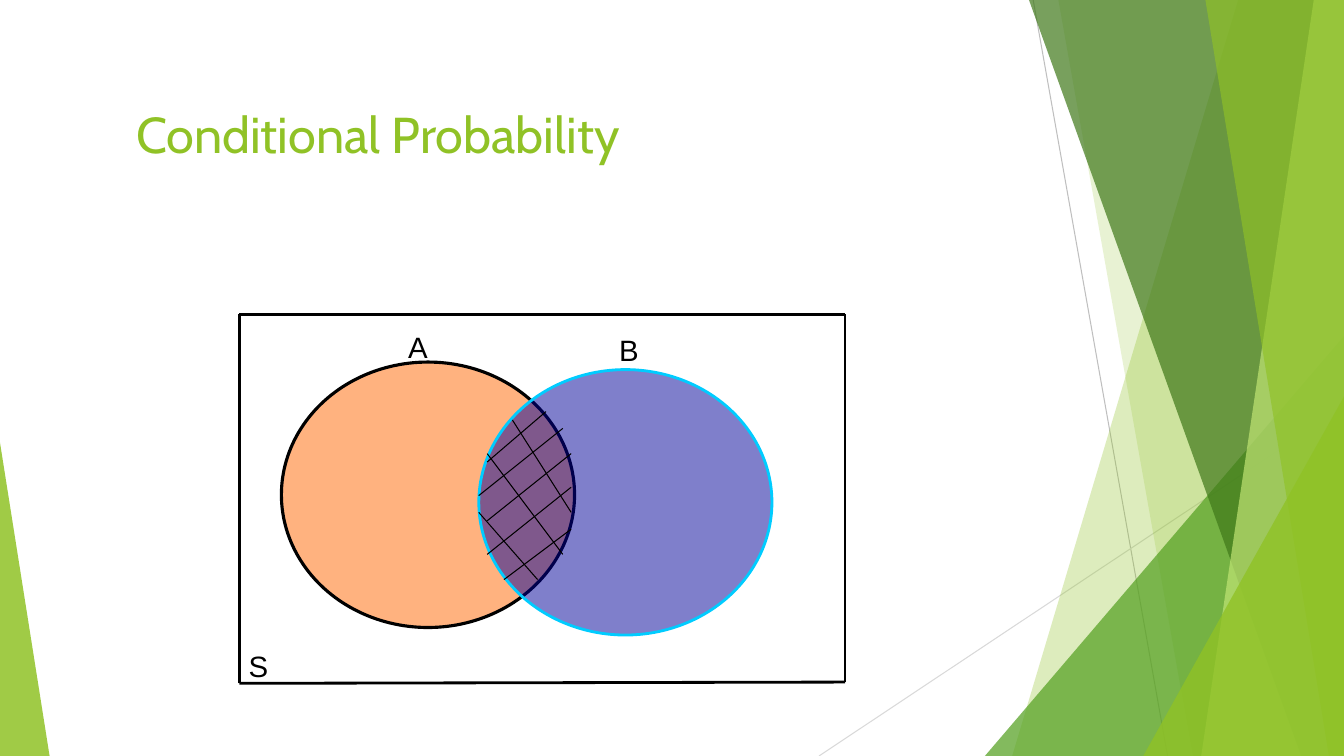
from pptx import Presentation
from pptx.dml.color import RGBColor
from pptx.enum.shapes import MSO_CONNECTOR, MSO_SHAPE
from pptx.enum.text import MSO_ANCHOR, PP_ALIGN
from pptx.oxml.ns import qn
from pptx.util import Inches, Pt
from lxml.etree import SubElement

LIME = RGBColor(0x90, 0xC2, 0x26)
PALE_LIME = RGBColor(0xC0, 0xE4, 0x74)
LEAF = RGBColor(0x54, 0xA0, 0x21)
FOREST = RGBColor(0x3F, 0x78, 0x19)
SILVER = RGBColor(0xBF, 0xBF, 0xBF)
MIST = RGBColor(0xD9, 0xD9, 0xD9)
ORANGE = RGBColor(0xFF, 0x66, 0x00)
NAVY = RGBColor(0x00, 0x00, 0x99)
CYAN = RGBColor(0x00, 0xCC, 0xFF)
BLACK = RGBColor(0x00, 0x00, 0x00)
COLUMNS, ROWS = 160, 90


class VennSlide:
    """Draws on one title-only slide, measured in columns and rows of a 160 by 90 grid."""

    def __init__(self, deck):
        self.column = deck.slide_width / COLUMNS
        self.row = deck.slide_height / ROWS
        self.slide = deck.slides.add_slide(deck.slide_layouts[5])
        self.shapes = self.slide.shapes

    def point(self, x, y):
        return round(x * self.column), round(y * self.row)

    def paint(self, shape, color, opacity, outline=None, weight=0):
        shape.shadow.inherit = False
        shape.fill.solid()
        shape.fill.fore_color.rgb = color
        tint = shape.fill._xPr.find(qn("a:solidFill"))[0]
        SubElement(tint, qn("a:alpha")).set("val", str(opacity * 1000))
        if outline is None:
            shape.line.fill.background()
        else:
            shape.line.color.rgb = outline
            shape.line.width = Pt(weight)

    def title(self, wording, x, y, width, height):
        heading = self.shapes.title
        heading.left, heading.top = self.point(x, y)
        heading.width, heading.height = self.point(width, height)
        frame = heading.text_frame
        frame.text = wording
        frame.vertical_anchor = MSO_ANCHOR.MIDDLE
        self.style(frame.paragraphs[0], "Cabin", 36, LIME)

    def style(self, paragraph, typeface, size, color):
        paragraph.alignment = PP_ALIGN.LEFT
        paragraph.font.name = typeface
        paragraph.font.size = Pt(size)
        paragraph.font.color.rgb = color

    def label(self, wording, x, y):
        caption = self.shapes.add_textbox(*self.point(x, y), *self.point(4.5, 4.8))
        frame = caption.text_frame
        frame.margin_left = frame.margin_top = frame.margin_right = frame.margin_bottom = 0
        frame.word_wrap = False
        frame.text = wording
        self.style(frame.paragraphs[0], "Arial", 21, BLACK)

    def line(self, start, end, color=BLACK, weight=0.75):
        stroke = self.shapes.add_connector(
            MSO_CONNECTOR.STRAIGHT, *self.point(*start), *self.point(*end))
        SubElement(stroke._element.spPr, qn("a:effectLst"))
        stroke.line.color.rgb = color
        stroke.line.width = Pt(weight)

    def ribbon(self, top, bottom, color, opacity):
        corners = [self.point(*corner) for corner in
                   ((top, 0), (COLUMNS, 0), (COLUMNS, ROWS), (bottom, ROWS))]
        outline = self.shapes.build_freeform(*corners[0])
        outline.add_line_segments(corners[1:], close=True)
        self.paint(outline.convert_to_shape(), color, opacity)

    def wedge(self, x, y, width, apex, color, opacity):
        corner = self.shapes.add_shape(
            MSO_SHAPE.ISOSCELES_TRIANGLE, *self.point(x, y), *self.point(width, ROWS - y))
        corner.adjustments[0] = apex
        self.paint(corner, color, opacity)

    def event(self, x, y, color, outline, weight):
        oval = self.shapes.add_shape(
            MSO_SHAPE.OVAL, *self.point(x, y), *self.point(34.9, 31.6))
        self.paint(oval, color, 50, outline, weight)


def main():
    deck = Presentation()
    deck.slide_width, deck.slide_height = Inches(13.33), Inches(7.5)
    venn = VennSlide(deck)

    venn.line((123, 0), (139, ROWS), SILVER)
    venn.line((COLUMNS, 48.4), (97.5, ROWS), MIST)
    venn.ribbon(147.4, 120.5, LIME, 30)
    venn.ribbon(126, 142, LIME, 20)
    venn.wedge(117.25, 40, 42.75, 1, LEAF, 72)
    venn.ribbon(122.5, 154.9, FOREST, 70)
    venn.ribbon(156.4, 143, PALE_LIME, 70)
    venn.ribbon(143.5, 158.2, LIME, 65)
    venn.wedge(136.1, 47.2, 23.9, 1, LIME, 80)
    venn.wedge(0, 52.7, 5.9, 0, LIME, 85)

    venn.title("Conditional Probability", 15, 10.9, 83, 10)

    sample_space = [(28.5, 37.4), (100.6, 37.4), (100.6, 81.2), (28.5, 81.35)]
    for start, end in zip(sample_space, sample_space[1:] + sample_space[:1]):
        venn.line(start, end, BLACK, 0)

    venn.event(33.5, 43.1, ORANGE, BLACK, 2.25)
    venn.event(57, 44, NAVY, CYAN, 2)
    for wording, x, y in (("S", 29.6, 77.2), ("A", 48.6, 39.2), ("B", 73.7, 39.5)):
        venn.label(wording, x, y)

    intersection_hatch = (
        ((65, 49), (58, 55)), ((67, 51), (57, 59)), ((68, 54), (58, 62)),
        ((68, 58), (58, 66)), ((68, 63), (60, 69)), ((61, 50), (68, 61)),
        ((58, 54), (67, 66)), ((57, 61), (64, 69)))
    for start, end in intersection_hatch:
        venn.line(start, end)

    deck.save("out.pptx")


if __name__ == "__main__":
    main()
